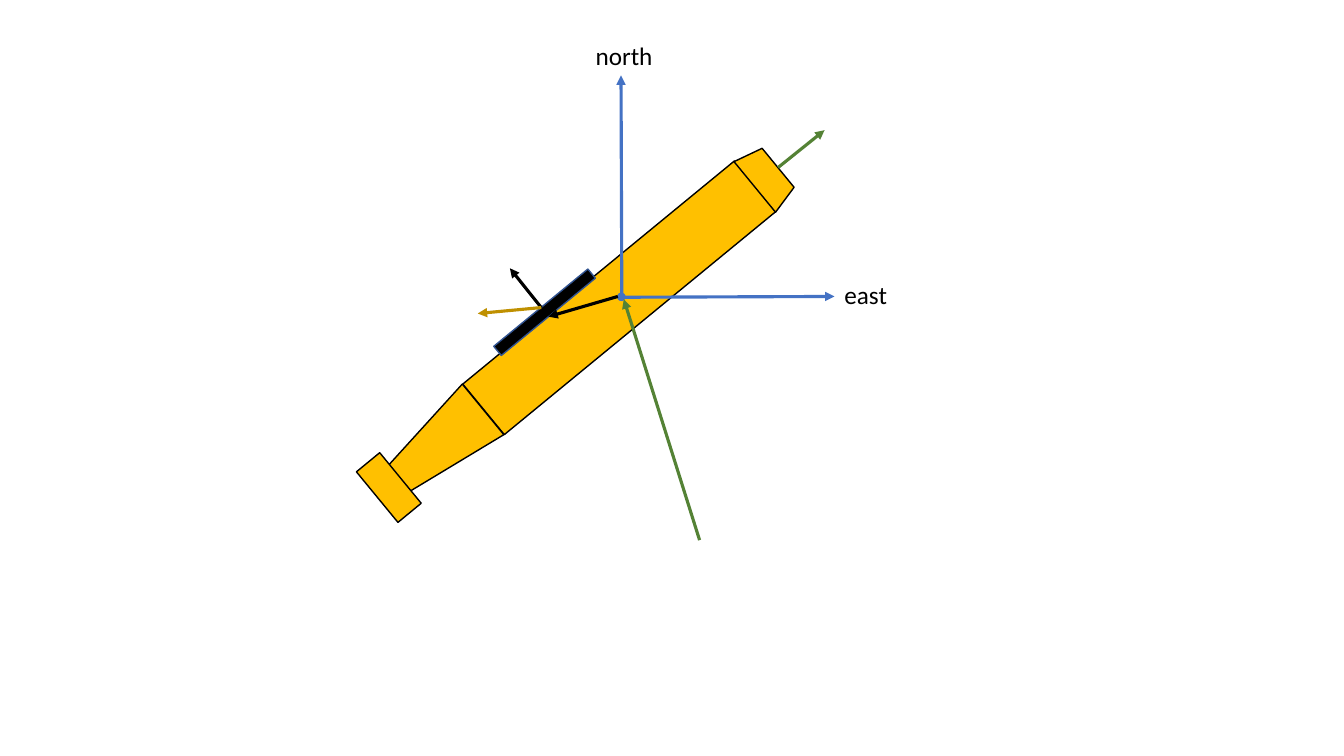
from lxml import etree
from pptx import Presentation
from pptx.dml.color import RGBColor
from pptx.enum.shapes import MSO_CONNECTOR, MSO_SHAPE
from pptx.enum.text import MSO_AUTO_SIZE
from pptx.oxml.ns import qn
from pptx.util import Cm, Pt

RECTANGLE = MSO_SHAPE.RECTANGLE
TRAPEZOID = MSO_SHAPE.TRAPEZOID
OVAL = MSO_SHAPE.OVAL
STRAIGHT = MSO_CONNECTOR.STRAIGHT
FIT_SHAPE = MSO_AUTO_SIZE.SHAPE_TO_FIT_TEXT

BLACK, YELLOW, BLUE = "000000", "FFC000", "4472C4"
NAVY, GREEN, GOLD = "325491", "548235", "BF9000"
TOP, BOTTOM = 0, 2
TILT = 320.6
NOSE_TILT = TILT + 90 - 360
TAIL_TILT = TILT - 90


def color(value):
    return RGBColor.from_string(value)


class Diagram:
    font_name = "Calibri"
    font_size = Pt(18)
    outline_width = Pt(1)
    arrow_width = Pt(2.25)

    def __init__(self, slide):
        self.slide = slide
        self.vehicle = slide.shapes.add_group_shape()

    def add_piece(self, kind, left, top, width, height, rotation, fill=YELLOW, line=BLACK):
        shape = self.vehicle.shapes.add_shape(
            kind, Cm(left), Cm(top), Cm(width), Cm(height))
        shape.rotation = rotation
        shape.shadow.inherit = False
        shape.fill.solid()
        shape.fill.fore_color.rgb = color(fill)
        shape.line.color.rgb = color(line)
        shape.line.width = self.outline_width
        return shape

    def add_arrow(self, start, end, line, start_joint=None, end_joint=None):
        (begin_x, begin_y), (end_x, end_y) = start, end
        connector = self.slide.shapes.add_connector(
            STRAIGHT, Cm(begin_x), Cm(begin_y), Cm(end_x), Cm(end_y))
        if start_joint:
            connector.begin_connect(*start_joint)
            connector.begin_x, connector.begin_y = Cm(begin_x), Cm(begin_y)
        if end_joint:
            connector.end_connect(*end_joint)
            connector.end_x, connector.end_y = Cm(end_x), Cm(end_y)
        connector.line.color.rgb = color(line)
        connector.line.width = self.arrow_width
        properties = connector._element.spPr
        outline = properties.find(qn("a:ln"))
        etree.SubElement(outline, qn("a:tailEnd")).set("type", "triangle")
        etree.SubElement(properties, qn("a:effectLst"))

    def add_label(self, text, left, top, width, height=1.02):
        box = self.slide.shapes.add_textbox(
            Cm(left), Cm(top), Cm(width), Cm(height))
        frame = box.text_frame
        frame.word_wrap = False
        frame.auto_size = FIT_SHAPE
        run = frame.paragraphs[0].add_run()
        run.text = text
        run.font.name = self.font_name
        run.font.size = self.font_size
        run.font.color.rgb = color(BLACK)


def main():
    presentation = Presentation()
    presentation.slide_width = Cm(33.87)
    presentation.slide_height = Cm(19.05)
    diagram = Diagram(presentation.slides.add_slide(presentation.slide_layouts[6]))

    diagram.add_piece(RECTANGLE, 11.18, 6.68, 8.86, 1.65, TILT)
    nose = diagram.add_piece(TRAPEZOID, 18.49, 4.09, 1.65, 0.76, NOSE_TILT)
    diagram.add_piece(TRAPEZOID, 10.26, 9.8, 1.65, 2.82, TAIL_TILT)
    diagram.add_piece(RECTANGLE, 9.42, 11.46, 0.76, 1.65, TILT)
    panel = diagram.add_piece(RECTANGLE, 12.19, 7.72, 3.07, 0.3, TILT, BLACK, NAVY)
    diagram.add_piece(OVAL, 15.57, 7.39, 0.18, 0.18, TILT, BLUE, BLUE)

    panel_face = (13.64, 7.75)
    diagram.add_arrow((15.75, 7.49), (21.03, 7.47), BLUE)
    diagram.add_arrow((15.67, 7.39), (15.65, 1.9), BLUE)
    diagram.add_arrow((17.63, 13.61), (15.72, 7.54), GREEN)
    diagram.add_arrow((15.57, 7.47), (13.82, 7.98), BLACK, end_joint=(panel, BOTTOM))
    diagram.add_arrow((19.61, 4.22), (20.78, 3.28), GREEN, start_joint=(nose, TOP))
    diagram.add_arrow(panel_face, (12.85, 6.76), BLACK, start_joint=(panel, TOP))
    diagram.add_label("north", 14.76, 0.89, 1.96)
    diagram.add_label("east", 21.03, 6.91, 1.6)
    diagram.add_arrow(panel_face, (12.04, 7.9), GOLD, start_joint=(panel, TOP))

    presentation.save("out.pptx")


if __name__ == "__main__":
    main()
